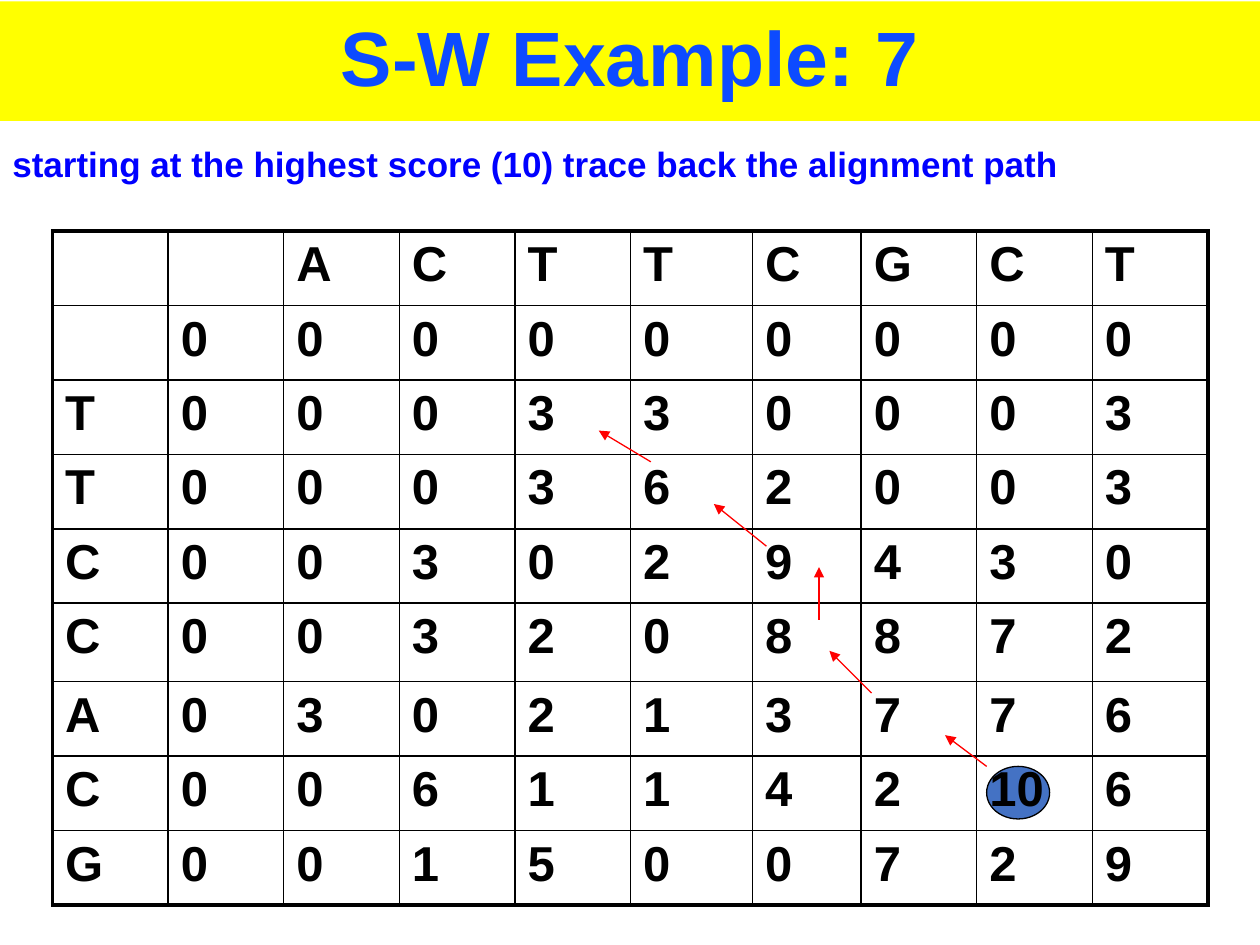
from dataclasses import dataclass

from lxml.etree import SubElement
from pptx import Presentation
from pptx.dml.color import RGBColor
from pptx.enum.shapes import MSO_CONNECTOR as Connector, MSO_SHAPE as Preset
from pptx.enum.text import MSO_ANCHOR as Anchor, MSO_AUTO_SIZE as AutoSize, PP_ALIGN as Align
from pptx.oxml import parse_xml
from pptx.oxml.ns import nsdecls, qn
from pptx.util import Cm, Pt

FONT = "Arial"
BLACK = "000000"
RED = "FF0000"
THIN, THICK = 1, 2.25

SEQUENCE = "ACTTCGCT"
SCORE_ROWS = [
    ("", "0 0 0 0 0 0 0 0 0"),
    ("T", "0 0 0 3 3 0 0 0 3"),
    ("T", "0 0 0 3 6 2 0 0 3"),
    ("C", "0 0 3 0 2 9 4 3 0"),
    ("C", "0 0 3 2 0 8 8 7 2"),
    ("A", "0 3 0 2 1 3 7 7 6"),
    ("C", "0 0 6 1 1 4 2 10 6"),
    ("G", "0 0 1 5 0 0 7 2 9"),
]
COLUMN_WIDTHS = [2.33] * 5 + [2.46, 2.19] + [2.33] * 3
ROW_HEIGHTS = [1.5] * 5 + [1.58] + [1.5] * 3


@dataclass
class TraceStep:
    start_x: float
    start_y: float
    end_x: float
    end_y: float


TRACEBACK = [
    TraceStep(13.12, 9.31, 12.07, 8.68),
    TraceStep(15.45, 11.01, 14.39, 10.16),
    TraceStep(16.51, 12.49, 16.51, 11.43),
    TraceStep(17.57, 13.97, 16.72, 13.12),
    TraceStep(19.89, 15.45, 19.05, 14.82),
]


def color(value: str) -> RGBColor:
    return RGBColor.from_string(value)


def format_paragraph(paragraph, size: float, font_color: str) -> None:
    font = paragraph.font
    font.name = FONT
    font.size = Pt(size)
    font.bold = True
    font.color.rgb = color(font_color)


def set_space_before(paragraph, percent: int) -> None:
    paragraph.space_before = Pt(0)
    spacing = paragraph._p.pPr.find(qn("a:spcBef"))
    spacing.remove(spacing[0])
    SubElement(spacing, qn("a:spcPct")).set("val", str(percent * 1000))


def set_borders(cell, left: float, right: float, top: float, bottom: float) -> None:
    properties = cell._tc.get_or_add_tcPr()
    sides = {"lnL": left, "lnR": right, "lnT": top, "lnB": bottom}
    for position, (side, width) in enumerate(sides.items()):
        properties.insert(position, parse_xml(
            f'<a:{side} {nsdecls("a")} w="{Pt(width)}"><a:solidFill>'
            f'<a:srgbClr val="{BLACK}"/></a:solidFill></a:{side}>'))


def add_title(slide) -> None:
    title = slide.shapes.title
    title.left, title.top, title.width, title.height = Cm(0), Cm(0.03), Cm(25.4), Cm(2.41)
    title.fill.solid()
    title.fill.fore_color.rgb = color("FFFF00")
    title.text_frame.vertical_anchor = Anchor.MIDDLE
    paragraph = title.text_frame.paragraphs[0]
    paragraph.text = "S-W Example: 7"
    paragraph.alignment = Align.CENTER
    paragraph.line_spacing = 0.9
    format_paragraph(paragraph, 44, "0D4BFF")


def add_score_highlight(slide) -> None:
    ellipse = slide.shapes.add_shape(Preset.OVAL, Cm(19.89), Cm(15.45), Cm(1.27), Cm(1.06))
    ellipse.shadow.inherit = False
    ellipse.fill.solid()
    ellipse.fill.fore_color.rgb = color("4472C4")
    ellipse.line.color.rgb = color(BLACK)
    ellipse.line.width = Pt(0.75)


def add_score_table(slide) -> None:
    rows = [["", "", *SEQUENCE]] + [[base, *scores.split()] for base, scores in SCORE_ROWS]
    last_row, last_column = len(rows) - 1, len(rows[0]) - 1
    table = slide.shapes.add_table(
        len(rows), len(rows[0]), Cm(1.06), Cm(4.66),
        Cm(sum(COLUMN_WIDTHS)), Cm(sum(ROW_HEIGHTS))).table
    table.first_row = False
    table.horz_banding = False
    for column, width in zip(table.columns, COLUMN_WIDTHS):
        column.width = Cm(width)
    for row, height in zip(table.rows, ROW_HEIGHTS):
        row.height = Cm(height)
    for i, values in enumerate(rows):
        for j, value in enumerate(values):
            cell = table.cell(i, j)
            cell.fill.background()
            set_borders(
                cell,
                left=THICK if j == 0 else THIN,
                right=THICK if j == last_column else THIN,
                top=THICK if i == 0 else THIN,
                bottom=THICK if i == last_row else THIN)
            if value:
                cell.text = value
                paragraph = cell.text_frame.paragraphs[0]
                format_paragraph(paragraph, 28, BLACK)
                set_space_before(paragraph, 20)


def add_instruction(slide) -> None:
    text_box = slide.shapes.add_textbox(Cm(0), Cm(2.75), Cm(25.4), Cm(1.11))
    text_box.text_frame.word_wrap = True
    text_box.text_frame.auto_size = AutoSize.SHAPE_TO_FIT_TEXT
    paragraph = text_box.text_frame.paragraphs[0]
    paragraph.text = "starting at the highest score (10) trace back the alignment path"
    format_paragraph(paragraph, 20, "0000FF")
    set_space_before(paragraph, 50)


def add_trace_arrow(slide, step: TraceStep) -> None:
    arrow = slide.shapes.add_connector(
        Connector.STRAIGHT, Cm(step.start_x), Cm(step.start_y), Cm(step.end_x), Cm(step.end_y))
    arrow.line.color.rgb = color(RED)
    arrow.line.width = Pt(0.75)
    SubElement(arrow.line._get_or_add_ln(), qn("a:tailEnd")).set("type", "triangle")
    SubElement(arrow._element.spPr, qn("a:effectLst"))


def main() -> None:
    presentation = Presentation()
    presentation.slide_width, presentation.slide_height = Cm(25.4), Cm(19.05)
    slide = presentation.slides.add_slide(presentation.slide_layouts[5])
    add_score_highlight(slide)
    add_title(slide)
    add_score_table(slide)
    add_instruction(slide)
    for step in TRACEBACK:
        add_trace_arrow(slide, step)
    presentation.save("out.pptx")


if __name__ == "__main__":
    main()
